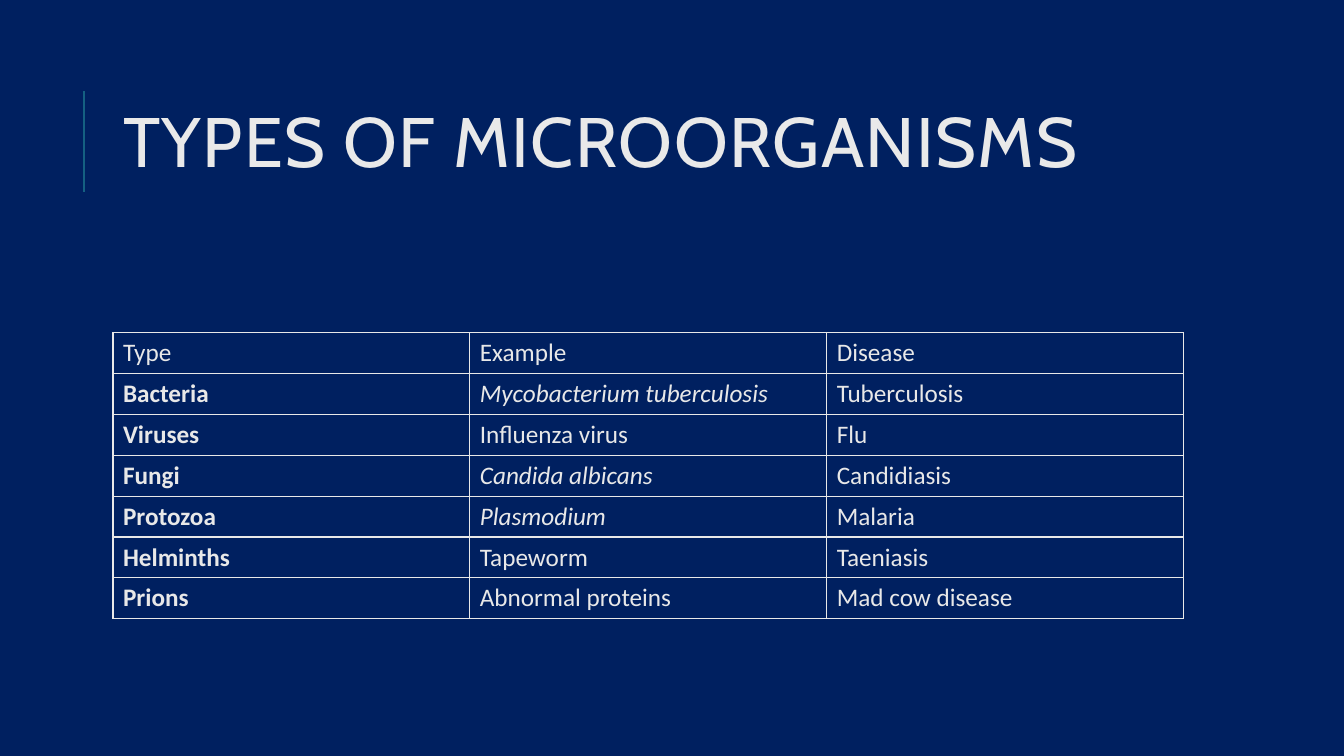
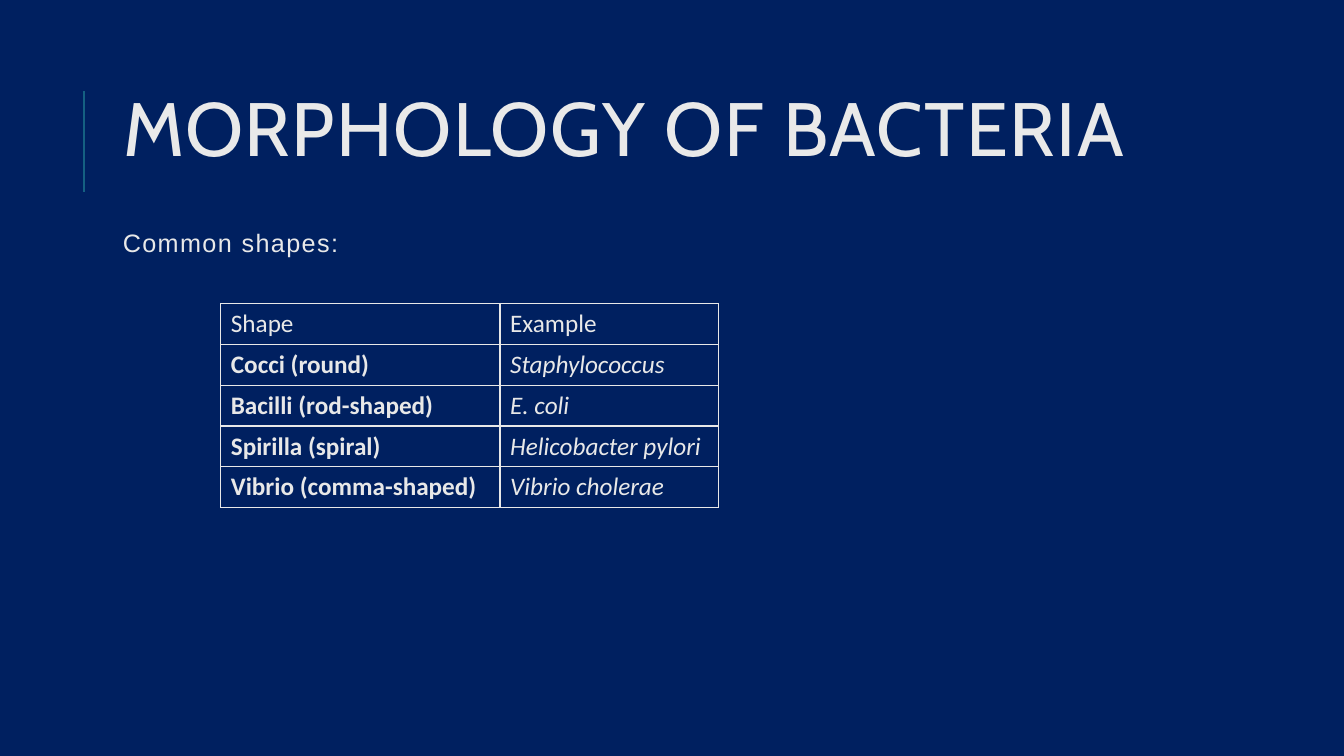
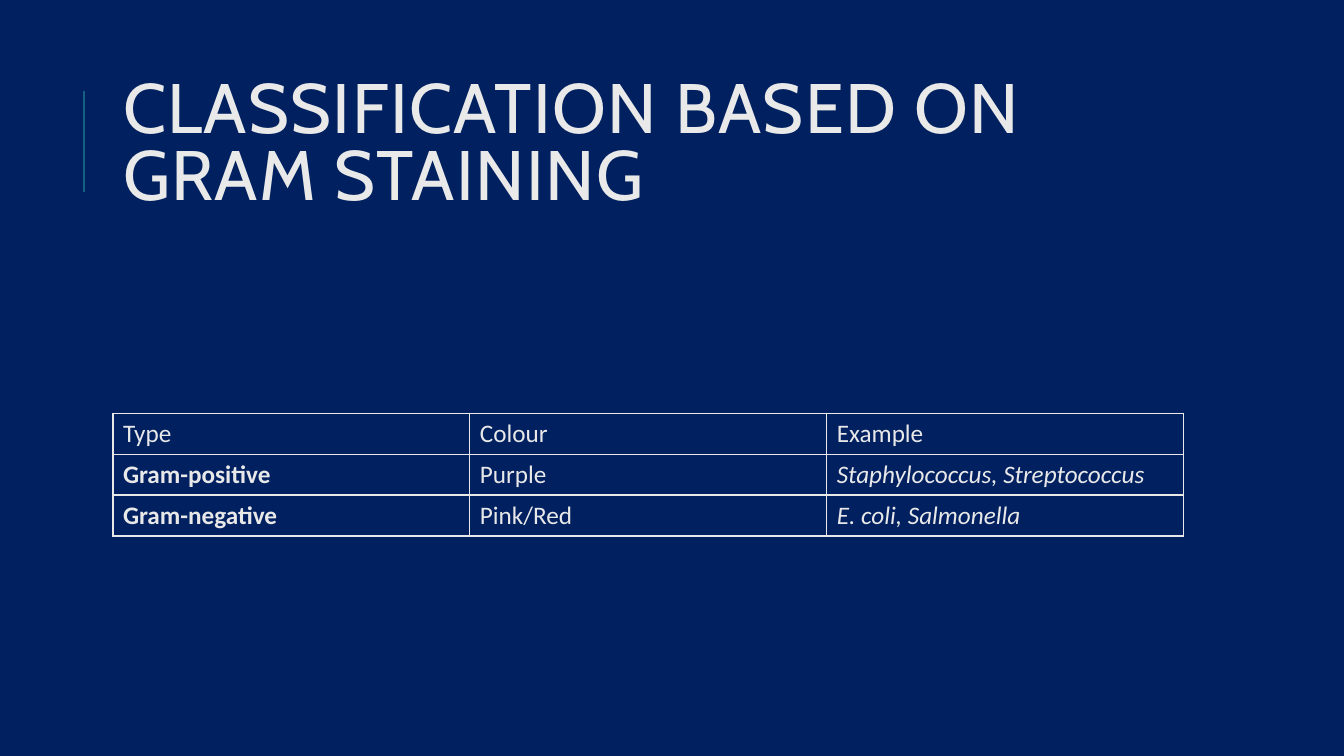
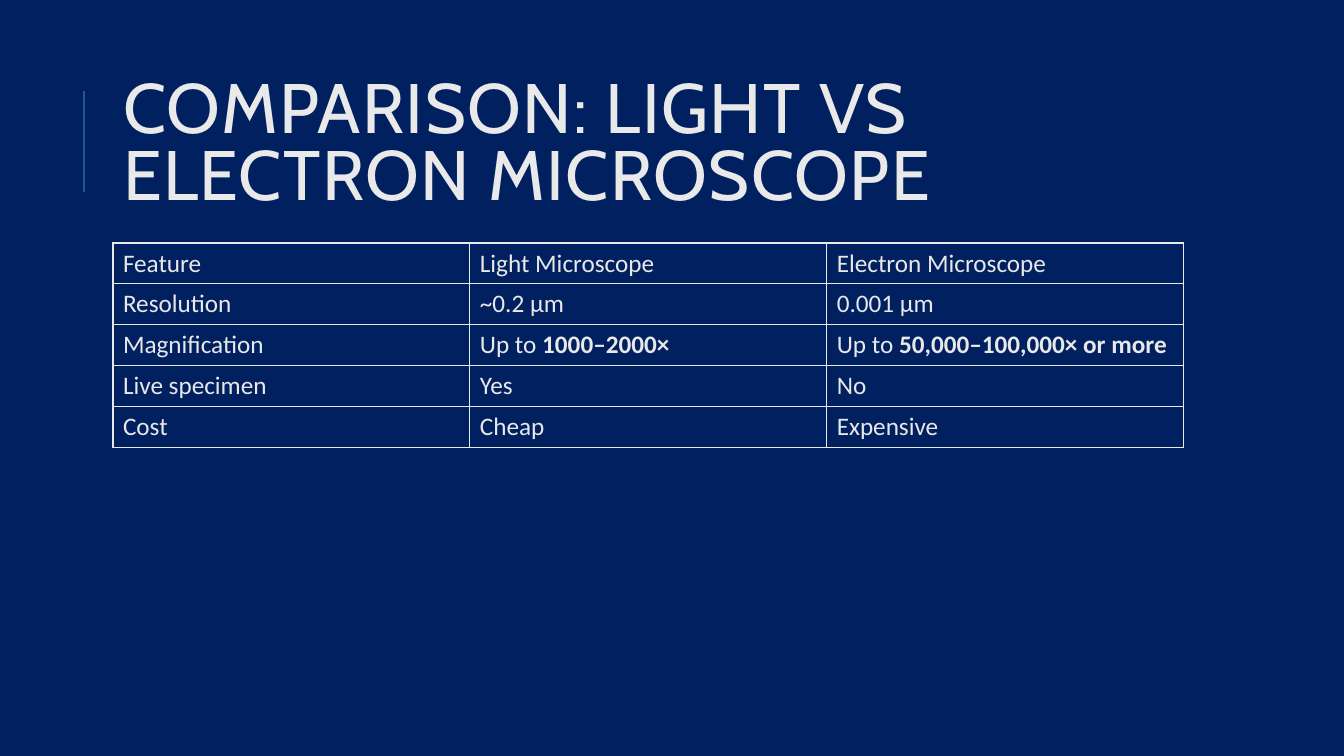
from lxml import etree
from pptx import Presentation
from pptx.dml.color import RGBColor
from pptx.enum.shapes import MSO_CONNECTOR
from pptx.enum.text import MSO_ANCHOR, MSO_AUTO_SIZE, PP_ALIGN
from pptx.oxml.ns import qn
from pptx.util import Inches, Pt

STRAIGHT = MSO_CONNECTOR.STRAIGHT
MIDDLE = MSO_ANCHOR.MIDDLE
NO_AUTOFIT = MSO_AUTO_SIZE.NONE
LEFT = PP_ALIGN.LEFT

COLORS = {
    "background": "002060",
    "accent": "156082",
    "title": "E9E9E9",
    "text": "E8E8E8",
}
TITLE_FONT, TABLE_FONT, NOTE_FONT = "Cabin", "Calibri", "Arial"
TITLE_ONLY = 5
CONTENT_LEFT, CONTENT_WIDTH = 1.12, 10.63
ROW_HEIGHT = 0.4


def rgb(name):
    return RGBColor.from_string(COLORS[name])


def bold(text):
    return [(text, True, False)]


def italic(text):
    return [(text, False, True)]


def plain(text):
    return [(text, False, False)]


def style_font(font, name, size, color):
    font.name = name
    font.size = Pt(size)
    font.color.rgb = rgb(color)


def set_spaced_text(frame, text, font_name, size, color):
    """Fill the frame with one left-aligned line of letter-spaced text."""
    frame.word_wrap = True
    frame.auto_size = NO_AUTOFIT
    frame.vertical_anchor = MIDDLE
    frame.text = text
    paragraph = frame.paragraphs[0]
    paragraph.alignment = LEFT
    run = paragraph.runs[0]
    style_font(run.font, font_name, size, color)
    run.font.bold = False
    run.font._element.set("spc", "100")


def add_title_slide(prs, title, size=50, top=0.64):
    """Add a slide with the accent line and a formatted title."""
    slide = prs.slides.add_slide(prs.slide_layouts[TITLE_ONLY])
    accent = slide.shapes.add_connector(
        STRAIGHT, Inches(0.83), Inches(1.9), Inches(0.83), Inches(0.9))
    accent.line.color.rgb = rgb("accent")
    accent.line.width = Pt(1.5)
    etree.SubElement(accent._element.spPr, qn("a:effectLst"))

    heading = slide.shapes.title
    heading.left, heading.top = Inches(CONTENT_LEFT), Inches(top)
    heading.width, heading.height = Inches(CONTENT_WIDTH), Inches(1.64)
    set_spaced_text(heading.text_frame, title, TITLE_FONT, size, "title")
    heading.text_frame.paragraphs[0].line_spacing = 0.8
    return slide


def add_note(slide, text, top):
    note = slide.shapes.add_textbox(
        Inches(CONTENT_LEFT), Inches(top), Inches(CONTENT_WIDTH), Inches(0.44))
    set_spaced_text(note.text_frame, text, NOTE_FONT, 18, "text")


def add_borders(cell):
    properties = cell._tc.get_or_add_tcPr()
    for side in ("a:lnL", "a:lnR", "a:lnT", "a:lnB"):
        border = etree.SubElement(properties, qn(side), w=str(Pt(1)))
        fill = etree.SubElement(border, qn("a:solidFill"))
        etree.SubElement(fill, qn("a:srgbClr"), val=COLORS["text"])


def fill_cell(cell, content):
    """Write a string, or a list of (text, bold, italic) runs, into a cell."""
    add_borders(cell)
    cell.fill.background()
    cell.vertical_anchor = MIDDLE
    paragraph = cell.text_frame.paragraphs[0]
    runs = plain(content) if isinstance(content, str) else content
    for text, is_bold, is_italic in runs:
        run = paragraph.add_run()
        run.text = text
        style_font(run.font, TABLE_FONT, 18, "text")
        run.font.bold = is_bold
        run.font.italic = is_italic


def add_grid(slide, rows, top, left=CONTENT_LEFT, widths=(3.54, 3.54, 3.54)):
    table = slide.shapes.add_table(
        len(rows), len(widths), Inches(left), Inches(top),
        Inches(sum(widths)), Inches(ROW_HEIGHT * len(rows))).table
    table.first_row = False
    table.horz_banding = False
    for column, width in zip(table.columns, widths):
        column.width = Inches(width)
    for row, contents in zip(table.rows, rows):
        for cell, content in zip(row.cells, contents):
            fill_cell(cell, content)


def main():
    prs = Presentation()
    prs.slide_width, prs.slide_height = Inches(13.33), Inches(7.5)
    background = prs.slide_master.background.fill
    background.solid()
    background.fore_color.rgb = rgb("background")

    microorganisms = add_title_slide(prs, "TYPES OF MICROORGANISMS")
    add_grid(microorganisms, [
        ("Type", "Example", "Disease"),
        (bold("Bacteria"), italic("Mycobacterium tuberculosis"), "Tuberculosis"),
        (bold("Viruses"), "Influenza virus", "Flu"),
        (bold("Fungi"), italic("Candida albicans"), "Candidiasis"),
        (bold("Protozoa"), italic("Plasmodium"), "Malaria"),
        (bold("Helminths"), "Tapeworm", "Taeniasis"),
        (bold("Prions"), "Abnormal proteins", "Mad cow disease"),
    ], top=3.3)

    morphology = add_title_slide(prs, "MORPHOLOGY OF BACTERIA", size=54, top=0.52)
    add_note(morphology, "Common shapes:", top=2.19)
    add_grid(morphology, [
        ("Shape", "Example"),
        (bold("Cocci (round)"), italic("Staphylococcus")),
        (bold("Bacilli (rod-shaped)"), italic("E. coli")),
        (bold("Spirilla (spiral)"), italic("Helicobacter pylori")),
        (bold("Vibrio (comma-shaped)"), italic("Vibrio cholerae")),
    ], top=3.01, left=2.19, widths=(2.77, 2.17))

    staining = add_title_slide(prs, "CLASSIFICATION BASED ON GRAM STAINING")
    add_grid(staining, [
        ("Type", "Colour", "Example"),
        (bold("Gram-positive"), "Purple", italic("Staphylococcus, Streptococcus")),
        (bold("Gram-negative"), "Pink/Red", italic("E. coli, Salmonella")),
    ], top=4.1)

    microscopes = add_title_slide(prs, "COMPARISON: LIGHT VS ELECTRON MICROSCOPE")
    add_grid(microscopes, [
        ("Feature", "Light Microscope", "Electron Microscope"),
        ("Resolution", "~0.2 µm", "0.001 µm"),
        ("Magnification", plain("Up to ") + bold("1000–2000×"),
         plain("Up to ") + bold("50,000–100,000× or more")),
        ("Live specimen", "Yes", "No"),
        ("Cost", "Cheap", "Expensive"),
    ], top=2.41)

    prs.save("out.pptx")


if __name__ == "__main__":
    main()
